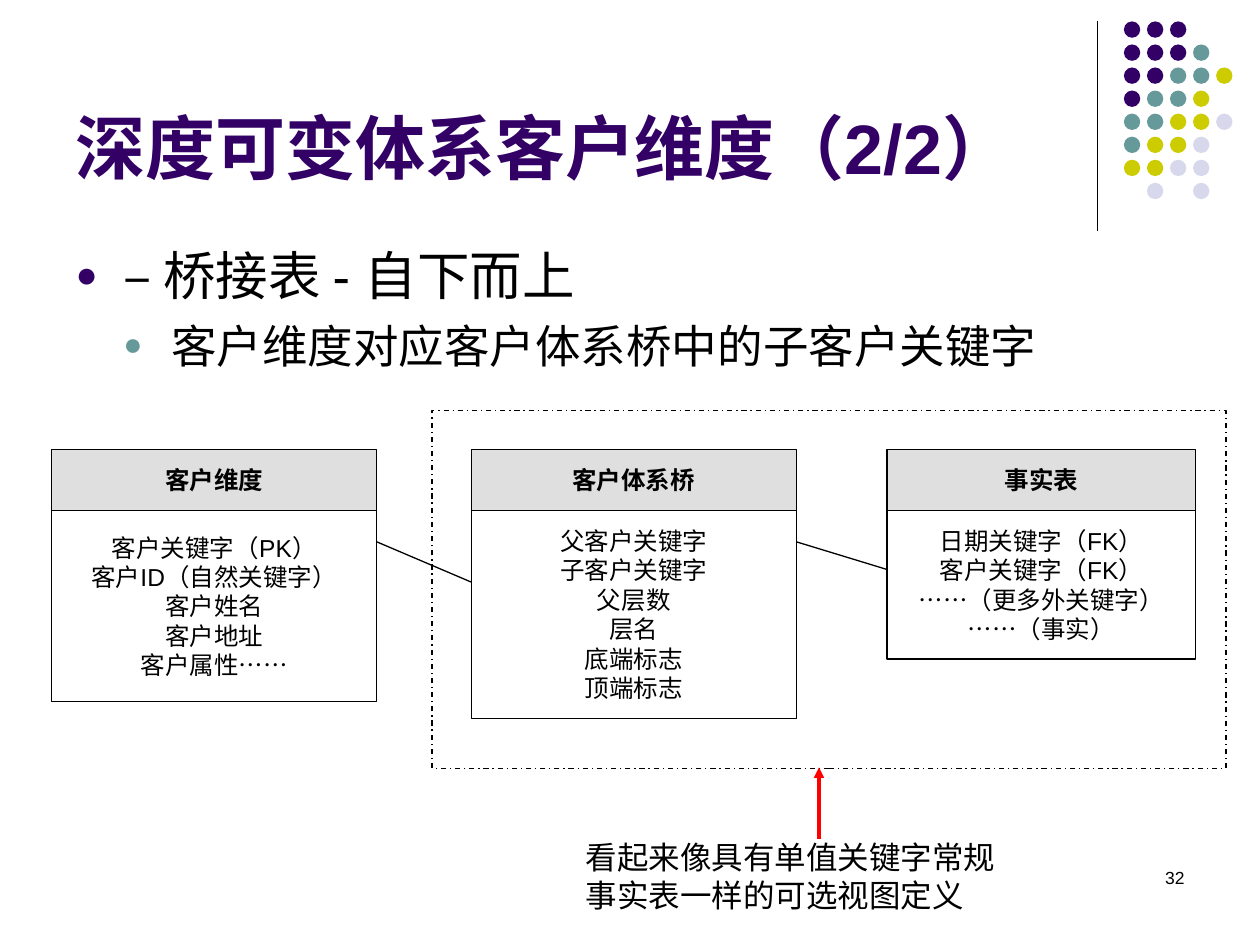
"""Build the slide on bridge tables for variable-depth customer hierarchies."""
from lxml import etree
from pptx import Presentation
from pptx import util as u
from pptx.dml.color import RGBColor
from pptx.enum import dml, shapes, text
from pptx.oxml.ns import qn

THEME = dict(
    font="Arial", ink="000000", purple="330066", teal="669999", olive="CCCC00",
    lilac="D8D8EC", grey="C0C0C0", red="FF0000",
    title=40, bullets=(30, 26), table=14, caption=18, number=10,
)
TITLE = "深度可变体系客户维度（2/2）"
BULLETS = [("– 桥接表 - 自下而上", "purple", 7.5),
           ("客户维度对应客户体系桥中的子客户关键字", "teal", 6.5)]
TABLES = [
    ("客户维度", 0.41, 2.58, 1.52,
     ["客户关键字（PK）", "客户ID（自然关键字）", "客户姓名", "客户地址", "客户属性……"]),
    ("客户体系桥", 3.74, 2.58, 1.65,
     ["父客户关键字", "子客户关键字", "父层数", "层名", "底端标志", "顶端标志"]),
    ("事实表", 7.04, 2.45, 1.18,
     ["日期关键字（FK）", "客户关键字（FK）", "……（更多外关键字）", "……（事实）"]),
]
LINKS = [(2.99, 4.3, 3.74, 4.62), (6.32, 4.3, 7.04, 4.52)]
CAPTION = "看起来像具有单值关键字常规事实表一样的可选视图定义"
DOTS = ["PPP", "PPPT", "PPTTO", "PTTO", "TTOOL", "TOOL", "OOLL", " L L"]
DOT_COLORS = dict(P="purple", T="teal", O="olive", L="lilac")
HEAD_TOP, HEAD_HEIGHT = 3.57, 0.48


def color(name):
    return RGBColor.from_string(THEME[name])


def add_run(p, value, size, ink="ink", bold=False):
    r = p.add_run()
    r.text = value
    r.font.name, r.font.size, r.font.bold = THEME["font"], u.Pt(size), bold
    r.font.color.rgb = color(ink)


def add_shape(s, box, kind=shapes.MSO_SHAPE.RECTANGLE, fill=None, line="ink"):
    sp = s.shapes.add_shape(kind, *map(u.Inches, box))
    sp.shadow.inherit = False
    if fill:
        sp.fill.solid()
        sp.fill.fore_color.rgb = color(fill)
    else:
        sp.fill.background()
    if line:
        sp.line.color.rgb, sp.line.width = color(line), u.Pt(0.75)
    else:
        sp.line.fill.background()
    return sp


def add_line(s, ends, ink="ink", width=0.75):
    cx = s.shapes.add_connector(shapes.MSO_CONNECTOR.STRAIGHT, *map(u.Inches, ends))
    cx.line.color.rgb, cx.line.width = color(ink), u.Pt(width)
    etree.SubElement(cx._element.spPr, qn("a:effectLst"))
    return cx


def add_cell(s, box, lines, fill=None, bold=False):
    sp = add_shape(s, box, fill=fill)
    tf = sp.text_frame
    tf.word_wrap, tf.vertical_anchor = True, text.MSO_ANCHOR.MIDDLE
    for i, value in enumerate(lines):
        p = tf.add_paragraph() if i else tf.paragraphs[0]
        p.alignment = text.PP_ALIGN.CENTER
        add_run(p, value, THEME["table"], bold=bold)
    return sp


def add_text(s, box, value, size, align=text.PP_ALIGN.LEFT):
    tf = s.shapes.add_textbox(*map(u.Inches, box)).text_frame
    tf.word_wrap = True
    tf.paragraphs[0].alignment = align
    add_run(tf.paragraphs[0], value, size)


def place(sp, box, anchor):
    sp.left, sp.top, sp.width, sp.height = map(u.Inches, box)
    tf = sp.text_frame
    tf.auto_size, tf.word_wrap, tf.vertical_anchor = text.MSO_AUTO_SIZE.NONE, True, anchor
    return tf


def add_bullet(p, level, ink):
    pPr = p._p.get_or_add_pPr()
    pPr.set("marL", str(u.Inches(0.38 * (level + 1))))
    pPr.set("indent", str(u.Inches(-0.38)))
    etree.SubElement(etree.SubElement(pPr, qn("a:buClr")), qn("a:srgbClr"), val=THEME[ink])
    etree.SubElement(pPr, qn("a:buSzPct"), val="70000")
    etree.SubElement(pPr, qn("a:buFont"), typeface=THEME["font"])
    etree.SubElement(pPr, qn("a:buChar"), char="●")


def add_decoration(s):
    add_line(s, (8.71, 0.17, 8.71, 1.83))
    for row, codes in enumerate(DOTS):
        for col, code in enumerate(codes):
            if code in DOT_COLORS:
                box = (8.92 + 0.183 * col, 0.17 + 0.183 * row, 0.13, 0.13)
                add_shape(s, box, shapes.MSO_SHAPE.OVAL, DOT_COLORS[code], None)


def add_headings(s):
    tf = place(s.shapes.title, (0.5, 0.13, 8.25, 1.42), text.MSO_ANCHOR.BOTTOM)
    tf.paragraphs[0].alignment = text.PP_ALIGN.LEFT
    add_run(tf.paragraphs[0], TITLE, THEME["title"], "purple", True)
    tf = place(s.placeholders[1], (0.5, 1.88, 9, 4.82), text.MSO_ANCHOR.TOP)
    for level, (value, ink, before) in enumerate(BULLETS):
        p = tf.add_paragraph() if level else tf.paragraphs[0]
        p.level = level
        p.space_before = u.Pt(before if level else 0)
        add_bullet(p, level, ink)
        add_run(p, value, THEME["bullets"][level])


def add_diagram(s):
    for name, left, width, height, fields in TABLES:
        head = add_cell(s, (left, HEAD_TOP, width, HEAD_HEIGHT), [name], "grey", True)
        rgb = head._element.spPr.find(qn("a:solidFill"))[0]
        etree.SubElement(rgb, qn("a:alpha"), val="50000")
        add_cell(s, (left, HEAD_TOP + HEAD_HEIGHT, width, height), fields)
    for ends in LINKS:
        add_line(s, ends)
    view = add_shape(s, (3.43, 3.26, 6.3, 2.84))
    view.line.dash_style = dml.MSO_LINE.DASH_DOT
    arrow = add_line(s, (6.5, 6.66, 6.5, 6.09), "red", 2)
    etree.SubElement(arrow.line._get_or_add_ln(), qn("a:tailEnd"), type="triangle")
    add_text(s, (4.55, 6.6, 3.56, 0.7), CAPTION, THEME["caption"])


def main():
    prs = Presentation()
    prs.slide_width, prs.slide_height = u.Inches(10), u.Inches(7.5)
    s = prs.slides.add_slide(prs.slide_layouts[1])
    add_decoration(s)
    add_headings(s)
    add_text(s, (7.17, 6.83, 2.33, 0.5), "32", THEME["number"], text.PP_ALIGN.RIGHT)
    add_diagram(s)
    prs.save("out.pptx")


if __name__ == "__main__":
    main()
